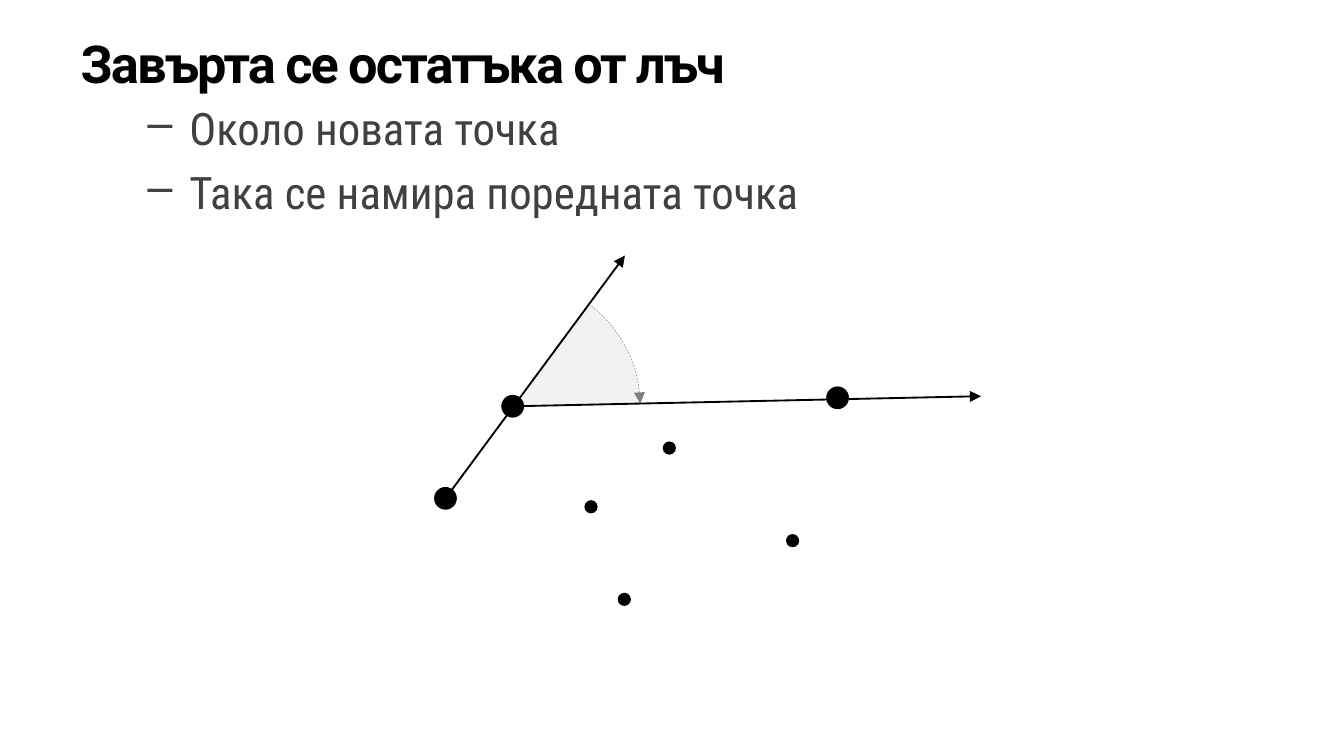
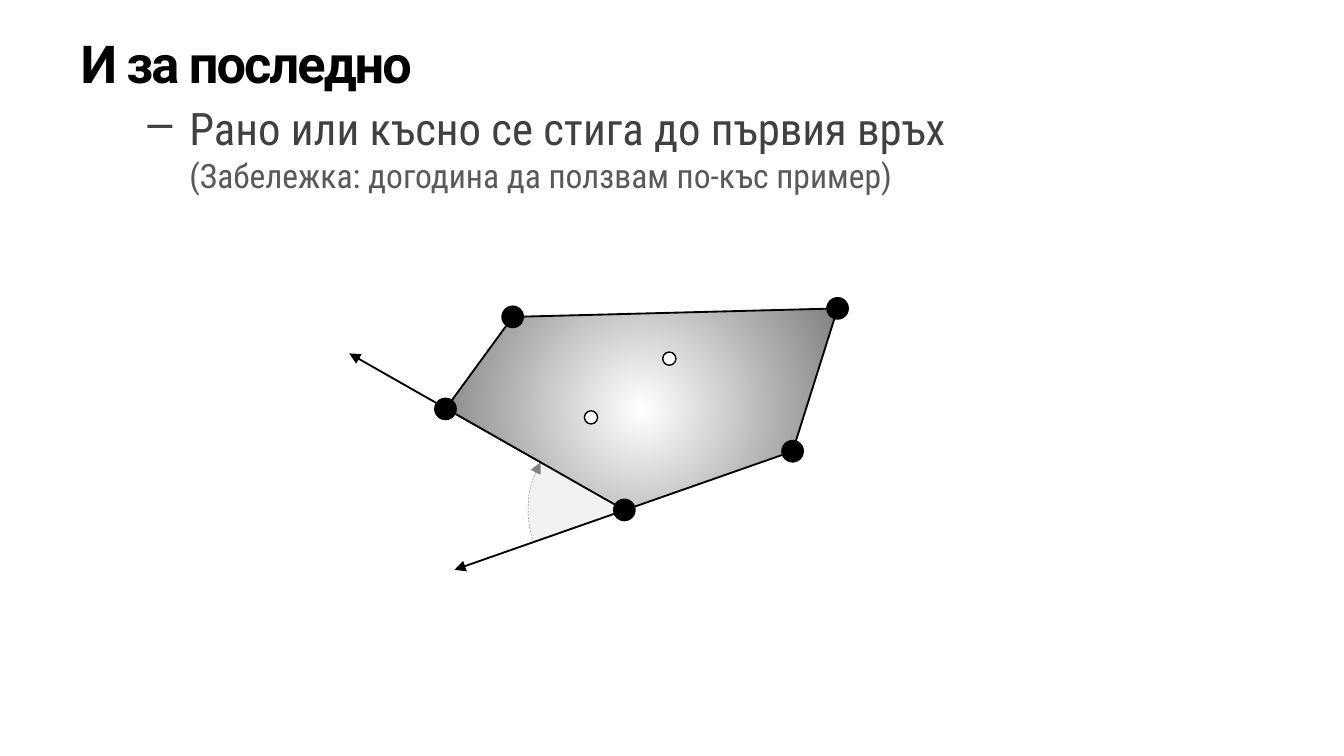
from math import atan2, degrees

from lxml.etree import SubElement
from pptx import Presentation
from pptx.dml.color import RGBColor
from pptx.enum.dml import MSO_LINE
from pptx.enum.shapes import MSO_CONNECTOR, MSO_SHAPE as SHAPE
from pptx.enum.text import MSO_ANCHOR, MSO_AUTO_SIZE, PP_ALIGN
from pptx.oxml.ns import qn
from pptx.util import Cm, Pt

COLORS = {
    "black": "000000",
    "white": "FFFFFF",
    "text": "404040",
    "note": "595959",
    "gray": "808080",
    "wedge": "F2F2F2",
}
FONTS = {
    "title": {"name": "Roboto", "size": Pt(28), "bold": True, "color": "black"},
    "bullet": {"name": "Roboto Condensed", "size": Pt(24), "bold": False, "color": "text"},
    "note": {"name": "Roboto Condensed", "size": Pt(18), "bold": False, "color": "note"},
}
FRAME = {
    "word_wrap": True,
    "auto_size": MSO_AUTO_SIZE.NONE,
    "vertical_anchor": MSO_ANCHOR.TOP,
}
SPACE_BEFORE = {"bullet": Pt(5.6), "note": Pt(0)}
TITLE_BOX = (1.27, 0.46, 24.13, 1.4)
BODY_BOX = (1.27, 1.78, 24.13, 3)
BIG, SMALL = 0.43, 0.25

POINTS = {
    "A": (0, 1.9),
    "B": (1.27, 0.16),
    "C": (7.41, 0),
    "D": (6.56, 2.7),
    "E": (3.38, 3.81),
    "F": (4.23, 0.95),
    "G": (2.75, 2.06),
}


def rgb(name):
    return RGBColor.from_string(COLORS[name])


def set_attrs(obj, values):
    for key, value in values.items():
        if key == "color":
            obj.color.rgb = rgb(value)
        else:
            setattr(obj, key, value)


def set_line(line, color, width):
    line.color.rgb = rgb(color)
    line.width = Pt(width)


def add_arrowhead(s):
    SubElement(s.line._get_or_add_ln(), qn("a:tailEnd"), type="triangle")


def add_title(slide, text, box):
    s = slide.shapes.title
    set_attrs(s, dict(zip(("left", "top", "width", "height"), map(Cm, box))))
    set_attrs(s.text_frame, FRAME)
    p = s.text_frame.paragraphs[0]
    p.alignment = PP_ALIGN.LEFT
    r = p.add_run()
    r.text = text
    set_attrs(r.font, FONTS["title"])
    r._r.get_or_add_rPr().set("spc", "-100")


def add_body(slide, items, box):
    tf = slide.shapes.add_textbox(*map(Cm, box)).text_frame
    set_attrs(tf, FRAME)
    for i, (kind, text) in enumerate(items):
        p = tf.add_paragraph() if i else tf.paragraphs[0]
        if i:
            p.space_before = SPACE_BEFORE[kind]
        pPr = p._p.get_or_add_pPr()
        pPr.set("marL", str(Cm(2.06)))
        if kind == "bullet":
            pPr.set("indent", str(Cm(-0.79)))
            SubElement(pPr, qn("a:buChar"), char="–")
        r = p.add_run()
        r.text = text
        set_attrs(r.font, FONTS[kind])


class Diagram:
    def __init__(self, slide, left, top):
        self.shapes = slide.shapes
        self.left, self.top = left, top

    def at(self, point):
        x, y = POINTS.get(point, point)
        return self.left + x, self.top + y

    def add_round(self, preset, center, size):
        x, y = self.at(center)
        s = self.shapes.add_shape(
            preset, Cm(x - size / 2), Cm(y - size / 2), Cm(size), Cm(size))
        s.shadow.inherit = False
        s.fill.solid()
        return s

    def add_dots(self, names, size, hollow=False):
        for name in names:
            s = self.add_round(SHAPE.OVAL, name, size)
            s.fill.fore_color.rgb = rgb("white" if hollow else "black")
            if hollow:
                set_line(s.line, "black", 0.75)
            else:
                s.line.fill.background()

    def add_line(self, start, end, arrow=False):
        s = self.shapes.add_connector(
            MSO_CONNECTOR.STRAIGHT, *map(Cm, self.at(start) + self.at(end)))
        set_line(s.line, "black", 1)
        if arrow:
            add_arrowhead(s)
        SubElement(s._element.spPr, qn("a:effectLst"))

    def add_turn(self, center, start, end, radius):
        x, y = self.at(center)
        s = self.add_round(SHAPE.ARC, center, 2 * radius)
        for i, tip in enumerate((start, end)):
            tx, ty = self.at(tip)
            s.adjustments[i] = degrees(atan2(ty - y, tx - x)) % 360 * 0.6
        s.fill.fore_color.rgb = rgb("wedge")
        set_line(s.line, "gray", 0.25)
        s.line.dash_style = MSO_LINE.DASH
        add_arrowhead(s)

    def add_hull(self, names):
        first, *rest = [tuple(map(Cm, self.at(n))) for n in names]
        builder = self.shapes.build_freeform(*first)
        builder.add_line_segments(rest, close=True)
        s = builder.convert_to_shape()
        s.shadow.inherit = False
        s.fill.gradient()
        for stop, color in zip(s.fill.gradient_stops, ("white", "gray")):
            stop.color.rgb = rgb(color)
        grad = s._element.spPr.find(qn("a:gradFill"))
        grad.remove(grad.find(qn("a:lin")))
        center = SubElement(grad, qn("a:path"), path="circle")
        SubElement(center, qn("a:fillToRect"), dict.fromkeys("ltrb", "50000"))
        set_line(s.line, "gray", 0.25)


def add_slide(prs, title, items):
    slide = prs.slides.add_slide(prs.slide_layouts[5])
    add_title(slide, title, TITLE_BOX)
    add_body(slide, items, BODY_BOX)
    return slide


def add_rotation_slide(prs):
    slide = add_slide(prs, "Завърта се остатъка от лъч", [
        ("bullet", "Около новата точка"),
        ("bullet", "Така се намира поредната точка"),
    ])
    d = Diagram(slide, 8.42, 7.52)
    old_ray, new_ray = (3.39, -2.69), (10.12, -0.03)
    d.add_turn("B", old_ray, new_ray, 2.41)
    d.add_line("B", new_ray, arrow=True)
    d.add_line("A", old_ray, arrow=True)
    d.add_dots("ABC", BIG)
    d.add_dots("DEFG", SMALL)


def add_closing_slide(prs):
    slide = add_slide(prs, "И за последно", [
        ("bullet", "Рано или късно се стига до първия връх"),
        ("note", "(Забележка: догодина да ползвам по-къс пример)"),
    ])
    d = Diagram(slide, 8.42, 5.83)
    old_ray, new_ray = (0.17, 4.94), (-1.82, 0.85)
    d.add_hull("EDCBA")
    d.add_turn("E", old_ray, new_ray, 1.82)
    d.add_line("E", new_ray, arrow=True)
    d.add_line("D", old_ray, arrow=True)
    for start, end in ("CD", "BC", "AB"):
        d.add_line(start, end)
    d.add_dots("ABCDE", BIG)
    d.add_dots("FG", SMALL, hollow=True)


def main():
    prs = Presentation()
    prs.slide_width, prs.slide_height = Cm(25.4), Cm(14.29)
    add_rotation_slide(prs)
    add_closing_slide(prs)
    prs.save("out.pptx")


if __name__ == "__main__":
    main()
